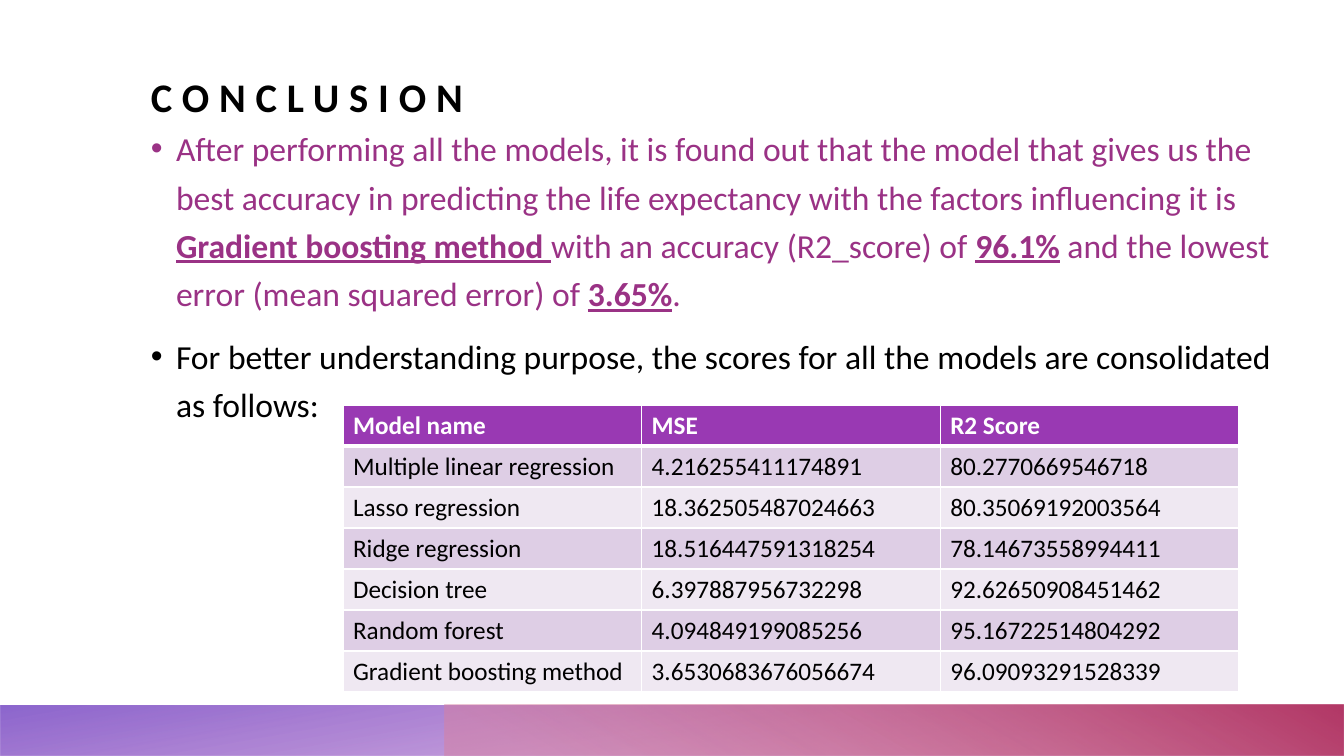
from dataclasses import dataclass

import lxml.etree
import pptx
import pptx.dml.color
import pptx.enum.shapes
import pptx.enum.text
import pptx.oxml
import pptx.oxml.ns
import pptx.util

PX = 914400 / 100.8
FONT = "Calibri"
BLACK = pptx.dml.color.RGBColor(0x00, 0x00, 0x00)
WHITE = pptx.dml.color.RGBColor(0xFF, 0xFF, 0xFF)
PLUM = pptx.dml.color.RGBColor(0x9A, 0x32, 0x85)
PURPLE = pptx.dml.color.RGBColor(0x99, 0x39, 0xB3)
VIOLET = pptx.dml.color.RGBColor(0x78, 0x4B, 0xC5)
PINK = pptx.dml.color.RGBColor(0xD7, 0x82, 0xA2)
CRIMSON = pptx.dml.color.RGBColor(0xB3, 0x39, 0x67)
BAND_DARK = pptx.dml.color.RGBColor(0xDE, 0xCE, 0xE5)
BAND_LIGHT = pptx.dml.color.RGBColor(0xEF, 0xE8, 0xF2)


@dataclass(frozen=True)
class Stop:
    position: int
    color: pptx.dml.color.RGBColor
    opacity: int = 100


@dataclass(frozen=True)
class FooterBar:
    left: int
    width: int
    rotation: int
    angle: int
    stops: tuple[Stop, ...]


@dataclass(frozen=True)
class Bullet:
    color: pptx.dml.color.RGBColor
    pieces: tuple[tuple[str, bool], ...]


FOOTER_BARS = (
    FooterBar(0, 1344, 180, 100, (Stop(14, PURPLE, 28), Stop(100, VIOLET, 85))),
    FooterBar(445, 899, 0, 240, (Stop(9, PINK, 55), Stop(99, CRIMSON))),
)
BULLETS = (
    Bullet(PLUM, (
        ("After performing all the models, it is found out that the model that gives us the "
         "best accuracy in predicting the life expectancy with the factors influencing it is ", False),
        ("Gradient boosting method ", True),
        ("with an accuracy (R2_score) of ", False),
        ("96.1%", True),
        (" and the lowest error (mean squared error) of ", False),
        ("3.65%", True),
        (".", False),
    )),
    Bullet(BLACK, (
        ("For better understanding purpose, the scores for all the models are consolidated "
         "as follows:", False),
    )),
)
SCORES = (
    ("Model name", "MSE", "R2 Score"),
    ("Multiple linear regression", "4.216255411174891", "80.2770669546718"),
    ("Lasso regression", "18.362505487024663", "80.35069192003564"),
    ("Ridge regression", "18.516447591318254", "78.14673558994411"),
    ("Decision tree", "6.397887956732298", "92.62650908451462"),
    ("Random forest", "4.094849199085256", "95.16722514804292"),
    ("Gradient boosting method", "3.6530683676056674", "96.09093291528339"),
)


def px(length: int) -> int:
    return round(length * PX)


def add_child(parent, tag: str, **attributes):
    child = lxml.etree.SubElement(parent, pptx.oxml.ns.qn(tag))
    for name, value in attributes.items():
        child.set(name, str(value))
    return child


def style_font(font, size: int, color: pptx.dml.color.RGBColor, bold: bool) -> None:
    font.name = FONT
    font.size = pptx.util.Pt(size)
    font.color.rgb = color
    font.bold = bold


def clear_insets(frame) -> None:
    frame.margin_left = frame.margin_top = frame.margin_right = frame.margin_bottom = 0
    frame.word_wrap = True
    frame.auto_size = pptx.enum.text.MSO_AUTO_SIZE.NONE


def draw_footer_bar(page, bar: FooterBar) -> None:
    box = page.shapes.add_shape(
        pptx.enum.shapes.MSO_SHAPE.RECTANGLE, px(bar.left), px(705), px(bar.width), px(51))
    box.shadow.inherit = False
    box.line.fill.background()
    box.rotation = bar.rotation
    properties = box.element.spPr
    properties.xfrm.set("flipH", "1")
    box.fill.gradient()
    gradient = properties.find(pptx.oxml.ns.qn("a:gradFill"))
    for child in list(gradient):
        gradient.remove(child)
    stop_list = add_child(gradient, "a:gsLst")
    for stop in bar.stops:
        entry = add_child(stop_list, "a:gs", pos=stop.position * 1000)
        color = add_child(entry, "a:srgbClr", val=stop.color)
        add_child(color, "a:alpha", val=stop.opacity * 1000)
    add_child(gradient, "a:lin", ang=bar.angle * 60000, scaled=0)


def draw_title(page) -> None:
    title = page.shapes.title
    page.shapes.element.append(title.element)
    title.left, title.top, title.width, title.height = px(151), px(66), px(1129), px(55)
    frame = title.text_frame
    frame.text = "CONCLUSION"
    clear_insets(frame)
    frame.vertical_anchor = pptx.enum.text.MSO_ANCHOR.BOTTOM
    para = frame.paragraphs[0]
    para.alignment = pptx.enum.text.PP_ALIGN.LEFT
    span = para.runs[0]
    style_font(span.font, 29, BLACK, True)
    span.font._element.set("spc", "700")


def draw_bullets(page, bullets: tuple[Bullet, ...]) -> None:
    box = page.shapes.add_textbox(px(151), px(120), px(1129), px(535))
    frame = box.text_frame
    clear_insets(frame)
    for index, bullet in enumerate(bullets):
        para = frame.add_paragraph() if index else frame.paragraphs[0]
        para.line_spacing = 1.2
        para.space_before = pptx.util.Pt(10)
        properties = para._p.get_or_add_pPr()
        properties.set("marL", str(px(25)))
        properties.set("indent", str(-px(25)))
        add_child(properties, "a:buFont", typeface="Arial")
        add_child(properties, "a:buChar", char="•")
        for text, emphasized in bullet.pieces:
            span = para.add_run()
            span.text = text
            style_font(span.font, 24, bullet.color, emphasized)
            span.font.underline = emphasized


def set_border(cell, side: str, points: int) -> None:
    line = add_child(cell._tc.get_or_add_tcPr(), f"a:ln{side}", w=pptx.util.Pt(points))
    add_child(add_child(line, "a:solidFill"), "a:srgbClr", val=WHITE)


def draw_scores(page, scores: tuple[tuple[str, ...], ...]) -> None:
    row_count, column_count = len(scores), len(scores[0])
    table = page.shapes.add_table(
        row_count, column_count, px(343), px(405), px(298 * column_count + 2), px(41 * row_count)).table
    for row_index, values in enumerate(scores):
        table.rows[row_index].height = px(41)
        header = row_index == 0
        band = BAND_DARK if row_index % 2 else BAND_LIGHT
        for column_index, value in enumerate(values):
            cell = table.cell(row_index, column_index)
            cell.text = value
            color = WHITE if header else BLACK
            style_font(cell.text_frame.paragraphs[0].runs[0].font, 18, color, header)
            for side in "LRTB":
                thick = (row_index, side) in ((0, "B"), (1, "T"))
                set_border(cell, side, 3 if thick else 1)
            cell.fill.solid()
            cell.fill.fore_color.rgb = PURPLE if header else band


def main() -> None:
    deck = pptx.Presentation()
    deck.slide_width, deck.slide_height = px(1344), px(756)
    page = deck.slides.add_slide(deck.slide_layouts[5])
    for bar in FOOTER_BARS:
        draw_footer_bar(page, bar)
    draw_title(page)
    draw_bullets(page, BULLETS)
    draw_scores(page, SCORES)
    deck.save("out.pptx")


if __name__ == "__main__":
    main()
